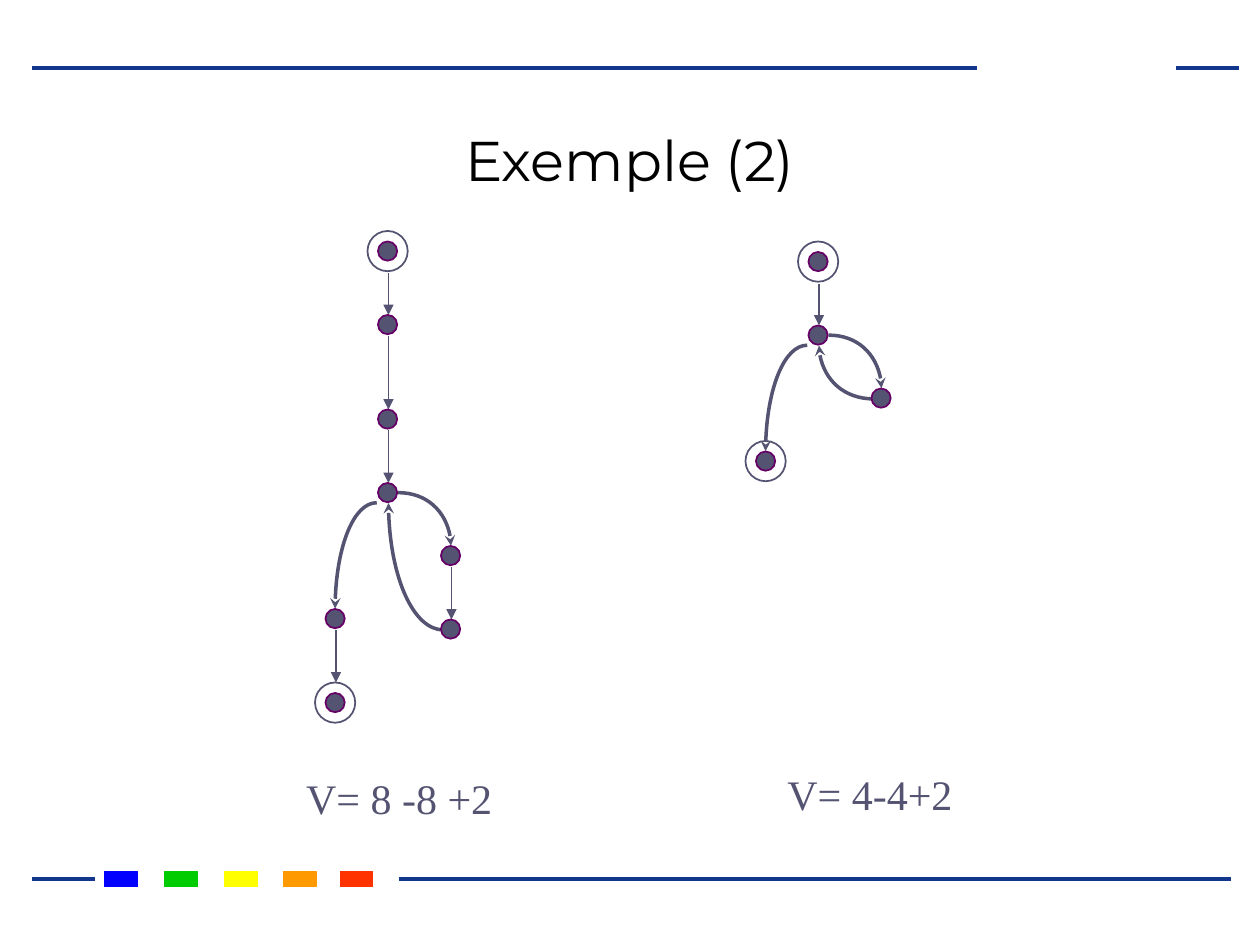
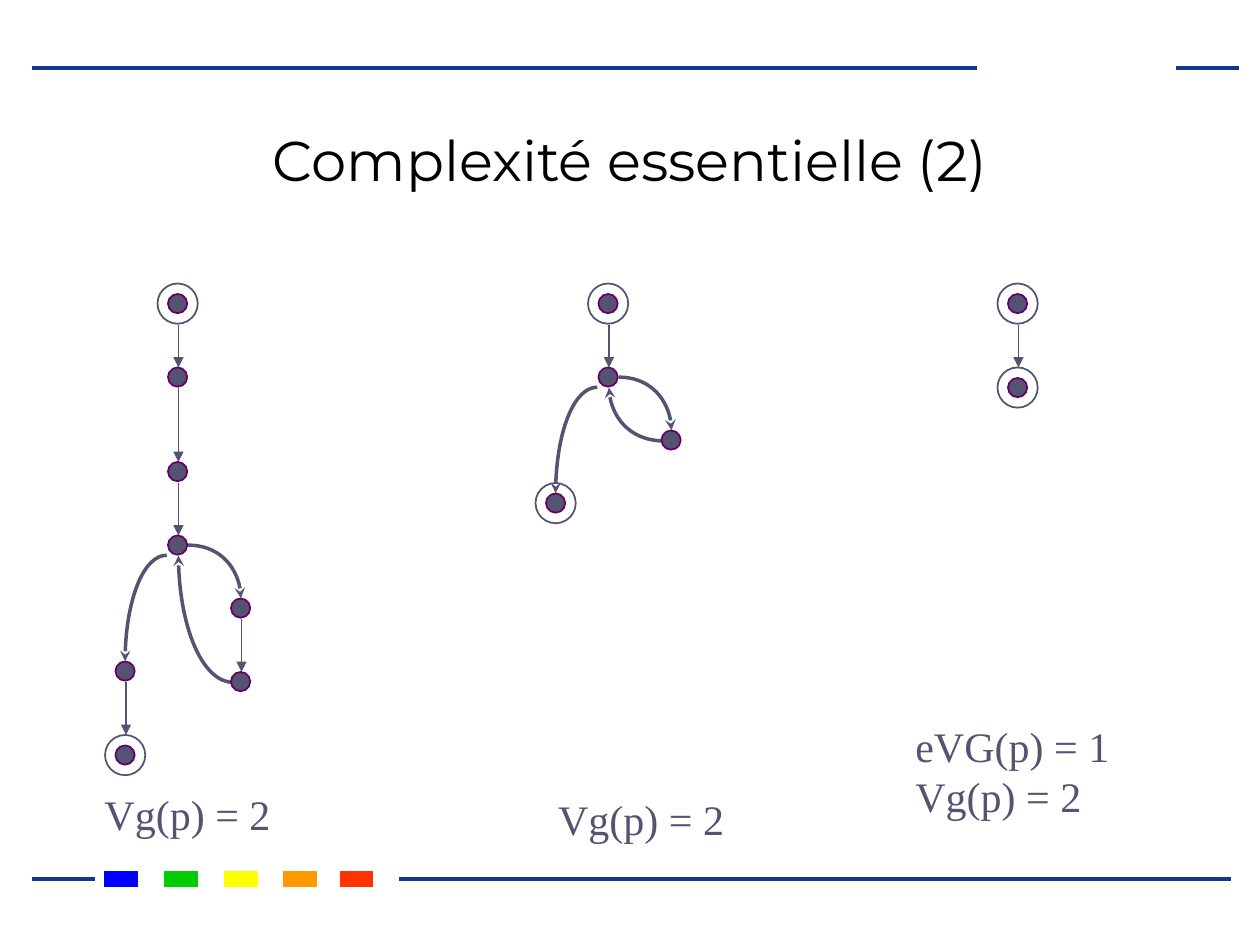
"""Builds two slides on the cyclomatic and essential complexity of control-flow graphs."""
from lxml import etree
from pptx import Presentation
from pptx import util as u
from pptx.dml.color import RGBColor
from pptx.enum import shapes, text
from pptx.oxml.ns import qn

Pt = u.Pt
COLORS = {
    "rule": "13368D", "title": "000000", "ink": "545472", "rim": "660066",
    "blue": "0000FF", "green": "00CC00", "yellow": "FFFF00", "orange": "FF9900", "red": "FF3300",
}
TITLE = {"name": "Montserrat", "size": Pt(32)}
LABEL = {"name": "Times New Roman", "size": Pt(24)}
TITLE_FRAME = {"word_wrap": True, "vertical_anchor": text.MSO_ANCHOR.BOTTOM}
LABEL_FRAME = {"word_wrap": False, "auto_size": text.MSO_AUTO_SIZE.SHAPE_TO_FIT_TEXT}

RULES = [(18, 558, 38.9), (228, 703.5, 502.5), (672, 708, 38.9), (18, 54, 502.5)]
SQUARES = {"blue": 59.8, "green": 94.3, "yellow": 128.2, "orange": 162, "red": 194.4}
DOT, RING, RING_GAP, AXIS, CURVE = 11, 23, 6, 6, 0.55

GRAPHS = {
    "full": {
        "nodes": [(0, 0, True), (0, 42, False), (0, 96, False), (0, 138, False),
                  (36, 174, False), (36, 216, False), (-30, 210, False), (-30, 258, True)],
        "edges": [(0, 1), (1, 2), (2, 3), (4, 5), (6, 7)],
        "loop": (138, 84),
    },
    "reduced": {
        "nodes": [(0, 0, True), (0, 42, False), (36, 78, False), (-30, 114, True)],
        "edges": [(0, 1)],
        "loop": (42, 42),
    },
    "minimal": {"nodes": [(0, 0, True), (0, 48, True)], "edges": [(0, 1)], "loop": None},
}

SLIDES = [
    {"title": "Exemple (2)",
     "graphs": [("full", 216, 138), ("reduced", 462, 144)],
     "labels": [(["V= 8 -8 +2"], 167.8, 438, 126.7, 36), (["V= 4-4+2"], 442.8, 435.5, 108.7, 36)]},
    {"title": "Complexité essentielle (2)",
     "graphs": [("full", 96, 168), ("reduced", 342, 168), ("minimal", 576, 168)],
     "labels": [(["Vg(p) = 2"], 52.6, 447, 109.4, 36), (["Vg(p) = 2"], 311.8, 450, 109.4, 36),
                (["eVG(p) = 1", "Vg(p) = 2"], 516, 408, 125.3, 65)]},
]


def paint(sp, line, width, fill=None, arrow=None):
    if hasattr(sp, "fill"):
        if fill:
            sp.fill.solid()
            sp.fill.fore_color.rgb = RGBColor.from_string(COLORS[fill])
        else:
            sp.fill.background()
    sp.line.color.rgb = RGBColor.from_string(COLORS[line])
    sp.line.width = Pt(width)
    if arrow:
        etree.SubElement(sp.line._get_or_add_ln(), qn("a:tailEnd"), type=arrow)
    etree.SubElement(sp._element.spPr, qn("a:effectLst"))


def write(s, lines, box, font, color, frame, align):
    tf = s.shapes.add_textbox(*map(Pt, box)).text_frame
    for key, value in frame.items():
        setattr(tf, key, value)
    for i, line in enumerate(lines):
        p = tf.add_paragraph() if i else tf.paragraphs[0]
        p.alignment = align
        r = p.add_run()
        r.text = line
        for key, value in font.items():
            setattr(r.font, key, value)
        r.font.color.rgb = RGBColor.from_string(COLORS[color])


prs = Presentation()
prs.slide_width, prs.slide_height = Pt(720), Pt(540)

for page in SLIDES:
    s = prs.slides.add_slide(prs.slide_layouts[6])

    for x1, x2, y in RULES:
        sp = s.shapes.add_connector(shapes.MSO_CONNECTOR.STRAIGHT, Pt(x1), Pt(y), Pt(x2), Pt(y))
        paint(sp, "rule", 2.25)
    for color, x in SQUARES.items():
        sp = s.shapes.add_shape(shapes.MSO_SHAPE.RECTANGLE, Pt(x), Pt(498.2), Pt(18.7), Pt(8.6))
        paint(sp, color, 0.75, color)

    write(s, [page["title"]], (54, 60.5, 612, 53.3), TITLE, "title", TITLE_FRAME,
          text.PP_ALIGN.CENTER)

    for kind, left, top in page["graphs"]:
        graph = GRAPHS[kind]
        nodes = [(left + x, top + y, ringed) for x, y, ringed in graph["nodes"]]

        for start, end in graph["edges"]:
            x, y1, from_ring = nodes[start]
            _, y2, to_ring = nodes[end]
            y1 += 18 if from_ring else 12
            y2 -= RING_GAP if to_ring else 0
            sp = s.shapes.add_connector(shapes.MSO_CONNECTOR.STRAIGHT,
                                        Pt(x + AXIS), Pt(y1), Pt(x + AXIS), Pt(y2))
            paint(sp, "ink", 0.75, arrow="triangle")

        if graph["loop"]:
            loop_y, depth = graph["loop"]
            arcs = [((11.5, 5.5), (41.7, 5.5), (41.7, 35.8)),
                    ((37.5, depth), (6, depth), (6, 11.5)),
                    ((-0.7, 11.3), (-24.5, 11.3), (-24.5, 71.8))]
            for begin, corner, finish in arcs:
                c1, c2 = [tuple(a + CURVE * (b - a) for a, b in zip(tip, corner))
                          for tip in (begin, finish)]
                points = [(Pt(left + x), Pt(top + loop_y + y)) for x, y in (begin, c1, c2, finish)]
                fb = s.shapes.build_freeform(*points[0])
                fb.add_line_segments(points[1:], close=False)
                sp = fb.convert_to_shape()
                segments = list(sp._element.iter(qn("a:lnTo")))
                outline = segments[0].getparent()
                bezier = etree.SubElement(outline, qn("a:cubicBezTo"))
                for segment in segments:
                    bezier.append(segment[0])
                    outline.remove(segment)
                paint(sp, "ink", 2, arrow="stealth")

        for x, y, ringed in nodes:
            holder = s.shapes.add_group_shape().shapes if ringed else s.shapes
            sp = holder.add_shape(shapes.MSO_SHAPE.OVAL, Pt(x), Pt(y), Pt(DOT), Pt(DOT))
            paint(sp, "rim", 1, "ink")
            if ringed:
                sp = holder.add_shape(shapes.MSO_SHAPE.OVAL, Pt(x - RING_GAP), Pt(y - RING_GAP),
                                      Pt(RING), Pt(RING))
                paint(sp, "ink", 1)

    for lines, *box in page["labels"]:
        write(s, lines, box, LABEL, "ink", LABEL_FRAME, text.PP_ALIGN.LEFT)

prs.save("out.pptx")
